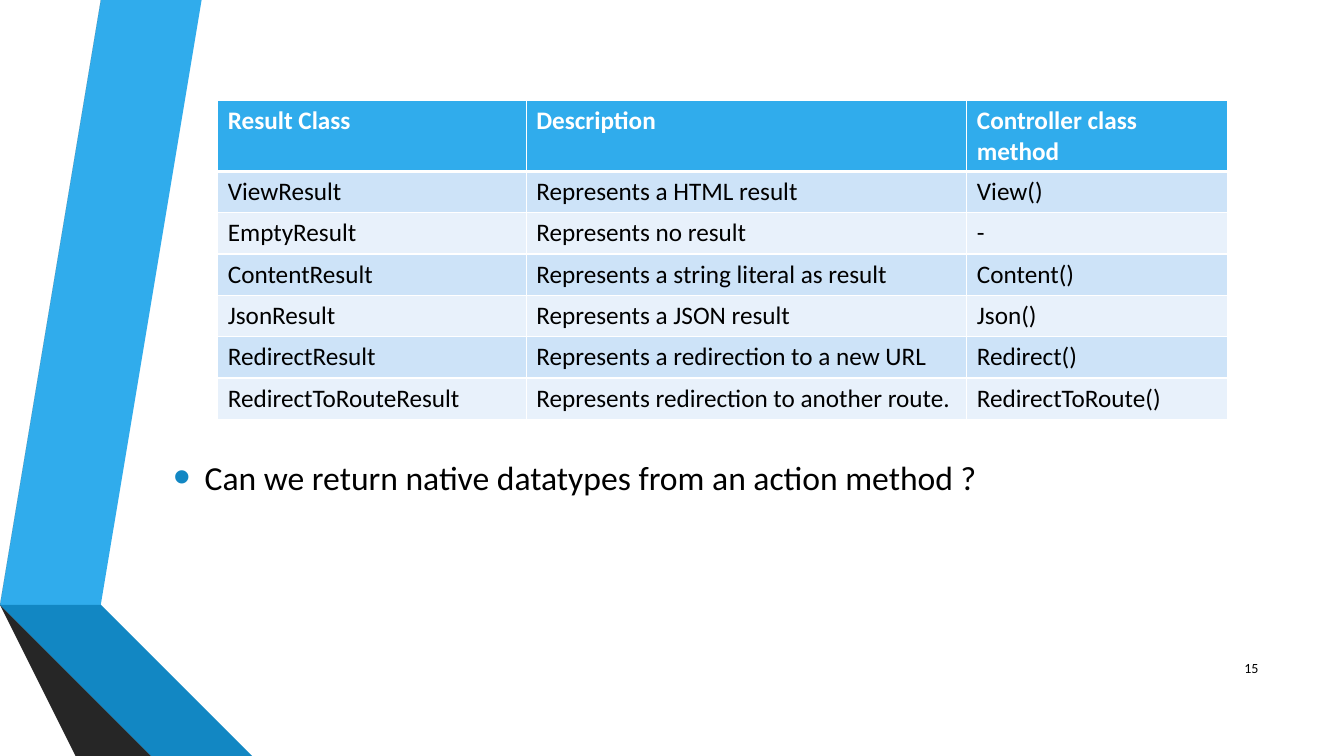
import dataclasses

import lxml.etree
import pptx
import pptx.dml.color
import pptx.enum.text
import pptx.oxml
import pptx.oxml.ns
import pptx.util
from pptx.util import Inches


@dataclasses.dataclass(frozen=True)
class Theme:
    font: str = "Calibri"
    white: str = "FFFFFF"
    black: str = "000000"
    sky: str = "30ACEC"
    blue: str = "1287C3"
    navy: str = "0C5A82"
    gray: str = "595959"
    charcoal: str = "404040"
    soot: str = "262626"
    bands: tuple = ("CDE3F8", "E8F1FB")
    number_size: int = 10
    table_size: int = 18
    body_size: int = 24


THEME = Theme()

RIBBONS = [
    (THEME.sky, [(0.5, 5.78), (0.77, 5.83), (1.73, 0), (1.45, 0)]),
    (THEME.gray, [(1.39, 0), (1.11, 0), (0.16, 5.73), (0.44, 5.77)]),
    (THEME.soot, [(0.16, 5.73), (1.45, 7.5), (1.51, 7.5)]),
    (THEME.navy, [(0.5, 5.79), (2.08, 7.5), (2.14, 7.5)]),
    (THEME.blue, [(0.5, 5.79), (2.14, 7.5), (2.83, 7.5), (0.77, 5.83), (0.5, 5.78)]),
    (THEME.charcoal, [(2.02, 7.5), (0.48, 5.83), (0.44, 5.77), (0.16, 5.73), (1.51, 7.5)]),
]

RESULT_ROWS = [
    ("Result Class", "Description", "Controller class method"),
    ("ViewResult", "Represents a HTML result", "View()"),
    ("EmptyResult", "Represents no result", "-"),
    ("ContentResult", "Represents a string literal as result", "Content()"),
    ("JsonResult", "Represents a JSON result", "Json()"),
    ("RedirectResult", "Represents a redirection to a new URL", "Redirect()"),
    ("RedirectToRouteResult", "Represents redirection to another route.", "RedirectToRoute()"),
]


class SlideBuilder:
    def __init__(self, slide, theme):
        self.slide = slide
        self.theme = theme

    def color(self, value):
        return pptx.dml.color.RGBColor.from_string(value)

    def paint(self, item, value):
        item.fill.solid()
        item.fill.fore_color.rgb = self.color(value)

    def add_text(self, paragraph, text, size, color, bold=False):
        run = paragraph.add_run()
        run.text = text
        formats = {"name": self.theme.font, "size": pptx.util.Pt(size), "bold": bold}
        for name, value in formats.items():
            setattr(run.font, name, value)
        run.font.color.rgb = self.color(color)

    def place(self, shape, left, top, width, height):
        box = {"left": left, "top": top, "width": width, "height": height}
        for name, value in box.items():
            setattr(shape, name, Inches(value))

    def ribbon(self, color, points):
        builder = self.slide.shapes.build_freeform(*points[0], scale=Inches(1))
        builder.add_line_segments(points[1:], close=True)
        shape = builder.convert_to_shape()
        shape.shadow.inherit = False
        self.paint(shape, color)
        shape.line.fill.background()

    def slide_number(self, text, *box):
        shape = self.slide.shapes.add_textbox(*map(Inches, box))
        frame = shape.text_frame
        frame.word_wrap = True
        frame.vertical_anchor = pptx.enum.text.MSO_ANCHOR.MIDDLE
        paragraph = frame.paragraphs[0]
        paragraph.alignment = pptx.enum.text.PP_ALIGN.RIGHT
        self.add_text(paragraph, text, self.theme.number_size, self.theme.black)

    def border(self, cell, side, points):
        properties = cell._tc.get_or_add_tcPr()
        line = lxml.etree.SubElement(
            properties, pptx.oxml.ns.qn(f"a:ln{side}"), w=str(pptx.util.Pt(points)))
        fill = lxml.etree.SubElement(line, pptx.oxml.ns.qn("a:solidFill"))
        lxml.etree.SubElement(fill, pptx.oxml.ns.qn("a:srgbClr"), val=self.theme.white)

    def table(self, rows, left, top, widths, header_height, row_height):
        height = header_height + row_height * (len(rows) - 1)
        frame = self.slide.shapes.add_table(
            len(rows), len(widths), Inches(left), Inches(top),
            Inches(sum(widths)), Inches(height))
        table = frame.table
        for column, width in zip(table.columns, widths):
            column.width = Inches(width)
        for index, texts in enumerate(rows):
            header = index == 0
            table.rows[index].height = Inches(header_height if header else row_height)
            fill = self.theme.sky if header else self.theme.bands[(index - 1) % 2]
            color = self.theme.white if header else self.theme.black
            for cell, text in zip(table.rows[index].cells, texts):
                self.add_text(cell.text_frame.paragraphs[0], text,
                              self.theme.table_size, color, header)
                for side in "LRTB":
                    header_edge = (side == "B" and header) or (side == "T" and index == 1)
                    self.border(cell, side, 3 if header_edge else 1)
                self.paint(cell, fill)

    def bullets(self, texts, *box):
        body = self.slide.placeholders[1]
        self.place(body, *box)
        for index, text in enumerate(texts):
            frame = body.text_frame
            paragraph = frame.add_paragraph() if index else frame.paragraphs[0]
            paragraph.space_after = pptx.util.Pt(6)
            self.add_text(paragraph, text, self.theme.body_size, self.theme.black)
            properties = paragraph._p.get_or_add_pPr()
            properties.set("marL", str(Inches(0.31)))
            properties.set("indent", str(Inches(-0.31)))
            color = lxml.etree.SubElement(properties, pptx.oxml.ns.qn("a:buClr"))
            lxml.etree.SubElement(color, pptx.oxml.ns.qn("a:srgbClr"), val=self.theme.blue)
            lxml.etree.SubElement(properties, pptx.oxml.ns.qn("a:buSzPct"), val="145000")
            lxml.etree.SubElement(properties, pptx.oxml.ns.qn("a:buFont"), typeface="Arial")
            lxml.etree.SubElement(properties, pptx.oxml.ns.qn("a:buChar"), char="•")


def main():
    presentation = pptx.Presentation()
    presentation.slide_width = Inches(13.33)
    presentation.slide_height = Inches(7.5)
    slide = presentation.slides.add_slide(presentation.slide_layouts[1])
    title = slide.shapes.title._element
    title.getparent().remove(title)

    builder = SlideBuilder(slide, THEME)
    for color, points in RIBBONS:
        builder.ribbon(color, points)
    builder.slide_number("15", 11.98, 6.43, 0.6, 0.4)
    builder.table(RESULT_ROWS, 2.16, 1, (3.06, 4.37, 2.59), 0.7, 0.41)
    builder.bullets(["Can we return native datatypes from an action method ?"],
                    1.62, 4.48, 10.82, 1.86)
    presentation.save("out.pptx")


if __name__ == "__main__":
    main()
